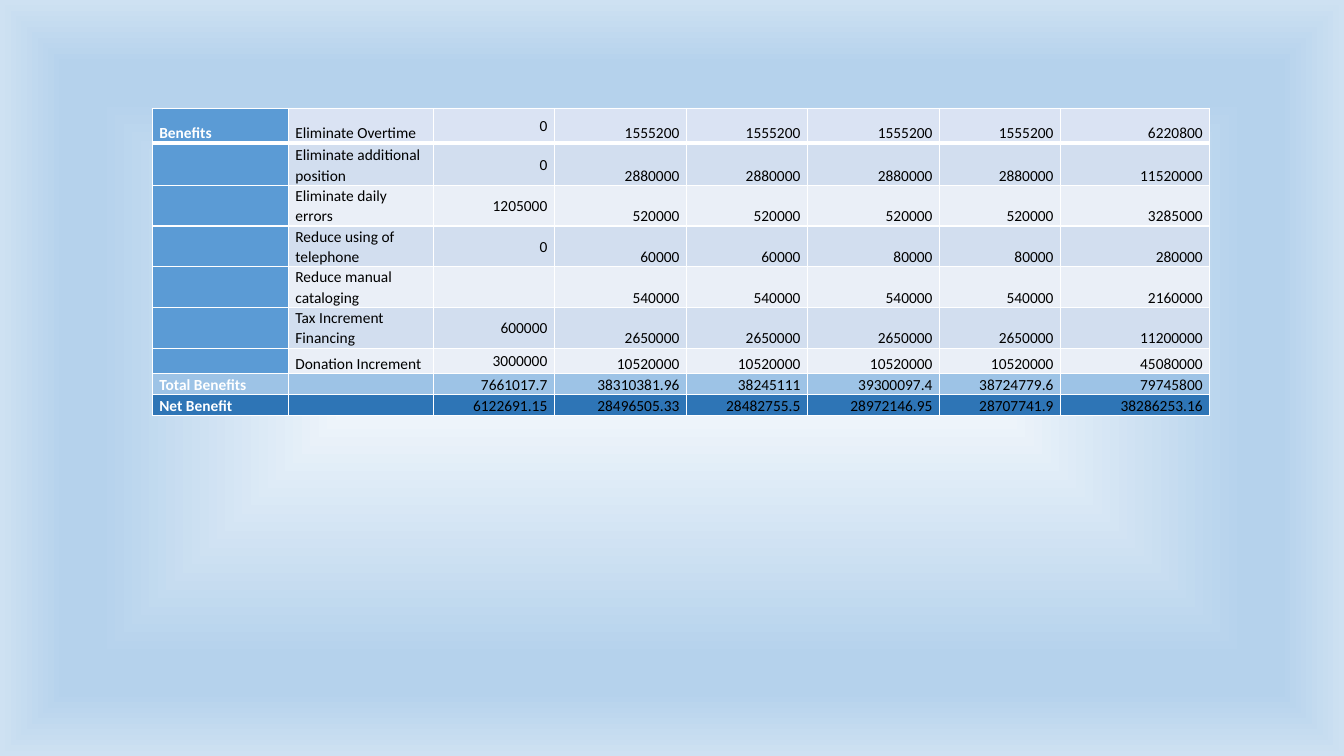
from dataclasses import dataclass

from lxml import etree
from pptx import Presentation
from pptx.dml.color import RGBColor
from pptx.enum.text import MSO_ANCHOR, PP_ALIGN
from pptx.oxml import parse_xml
from pptx.oxml.ns import qn
from pptx.slide import Slide
from pptx.table import Table, _Cell
from pptx.util import Inches, Pt

LEFT, RIGHT = PP_ALIGN.LEFT, PP_ALIGN.RIGHT
LOW, MID = MSO_ANCHOR.BOTTOM, MSO_ANCHOR.MIDDLE
WIDE, HIGH = 13.33, 7.5
X, Y = 1.51, 1.08
COLS = [1.35, 1.44, 1.2, 1.31, 1.2, 1.31, 1.2, 1.48]
SIZE, FONT = 11, "Calibri"
HUES = {
    "white": "FFFFFF", "black": "000000", "head": "5B9BD5",
    "top": "DAE3F3", "dark": "D2DEEF", "light": "EAEFF7",
    "total": "9DC3E6", "net": "2E75B6",
    "glow": "F7FAFD", "sky": "B5D2EC", "edge": "CEE1F2",
}
STOPS = [(0, "glow"), (74, "sky"), (83, "sky"), (100, "edge")]


@dataclass
class Row:
    """One line of the benefit table."""
    high: float
    fill: str
    head: str
    item: str
    sums: list[str]
    side: str = "head"


def gain(high: float, fill: str, item: str, first: str, years: list[str],
         total: str, head: str = "") -> Row:
    """Make the row of a single benefit."""
    return Row(high, fill, head, item, [first, *years, total])


ROWS = [
    gain(0.34, "top", "Eliminate Overtime", "0", ["1555200"] * 4,
         "6220800", head="Benefits"),
    gain(0.42, "dark", "Eliminate additional position", "0",
         ["2880000"] * 4, "11520000"),
    gain(0.28, "light", "Eliminate daily errors", "1205000",
         ["520000"] * 4, "3285000"),
    gain(0.29, "dark", "Reduce using of telephone", "0",
         ["60000"] * 2 + ["80000"] * 2, "280000"),
    gain(0.35, "light", "Reduce manual cataloging", "",
         ["540000"] * 4, "2160000"),
    gain(0.3, "dark", "Tax Increment Financing", "600000",
         ["2650000"] * 4, "11200000"),
    gain(0.25, "light", "Donation Increment", "3000000",
         ["10520000"] * 4, "45080000"),
    Row(0.21, "total", "Total Benefits", "",
        ["7661017.7", "38310381.96", "38245111", "39300097.4",
         "38724779.6", "79745800"], side="total"),
    Row(0.21, "net", "Net Benefit", "",
        ["6122691.15", "28496505.33", "28482755.5", "28972146.95",
         "28707741.9", "38286253.16"], side="net"),
]


def shade(slide: Slide) -> None:
    """Fill the background with a gradient that glows from the centre."""
    slide.background.fill.gradient()
    grad = next(slide.element.iter(qn("a:gradFill")))
    stops = "".join(
        f'<a:gs pos="{pos * 1000}"><a:srgbClr val="{HUES[hue]}"/></a:gs>'
        for pos, hue in STOPS)
    grad.getparent().replace(grad, parse_xml(
        '<a:gradFill xmlns:a="http://schemas.openxmlformats.org/drawingml/'
        f'2006/main" rotWithShape="1"><a:gsLst>{stops}</a:gsLst>'
        '<a:path path="rect"><a:fillToRect l="50000" t="50000" r="50000" '
        'b="50000"/></a:path></a:gradFill>'))


def rule(cell: _Cell, edge: str, width: float) -> None:
    """Draw one white border of a cell."""
    line = etree.SubElement(cell._tc.get_or_add_tcPr(), qn(f"a:ln{edge}"),
                            w=str(Pt(width)))
    fill = etree.SubElement(line, qn("a:solidFill"))
    etree.SubElement(fill, qn("a:srgbClr"), val=HUES["white"])


def write(cell: _Cell, text: str, *, hue: str = "black", bold: bool = False,
          align: PP_ALIGN = LEFT, anchor: MSO_ANCHOR = LOW) -> None:
    """Put formatted text in a cell."""
    cell.margin_left = cell.margin_right = Inches(0.07)
    cell.margin_top = cell.margin_bottom = 0
    cell.vertical_anchor = anchor
    para = cell.text_frame.paragraphs[0]
    para.alignment, para.line_spacing = align, 1.07
    if not text:
        etree.SubElement(para._p, qn("a:endParaRPr"), sz=str(SIZE * 100))
        return
    run = para.add_run()
    run.text = text
    font = run.font
    font.name, font.size, font.bold = FONT, Pt(SIZE), bold
    font.color.rgb = RGBColor.from_string(HUES[hue])


def paint(cell: _Cell, fill: str, base: float) -> None:
    """Give a cell its fill and borders, the lower one of a given width."""
    for edge in "LRT":
        rule(cell, edge, 1)
    rule(cell, "B", base)
    cell.fill.solid()
    cell.fill.fore_color.rgb = RGBColor.from_string(HUES[fill])


def fill_row(table: Table, at: int, row: Row) -> None:
    """Write and paint one row of the table."""
    table.rows[at].height = Inches(row.high)
    cells = list(table.rows[at].cells)
    for col, cell in enumerate(cells):
        paint(cell, row.fill if col else row.side, 1 if at else 3)
    write(cells[0], row.head, hue="white", bold=True)
    write(cells[1], row.item)
    for col, value in enumerate(row.sums):
        mid = col == 0 and row.side == "head"
        write(cells[col + 2], value, align=RIGHT, anchor=MID if mid else LOW)


def main() -> None:
    """Build the slide and save it."""
    deck = Presentation()
    deck.slide_width, deck.slide_height = Inches(WIDE), Inches(HIGH)
    slide = deck.slides.add_slide(deck.slide_layouts[6])
    shade(slide)
    high = sum(row.high for row in ROWS)
    frame = slide.shapes.add_table(len(ROWS), len(COLS), Inches(X), Inches(Y),
                                   Inches(sum(COLS)), Inches(high))
    table = frame.table
    table.first_row = table.horz_banding = False
    for col, width in zip(table.columns, COLS):
        col.width = Inches(width)
    for at, row in enumerate(ROWS):
        fill_row(table, at, row)
    deck.save("out.pptx")


main()
